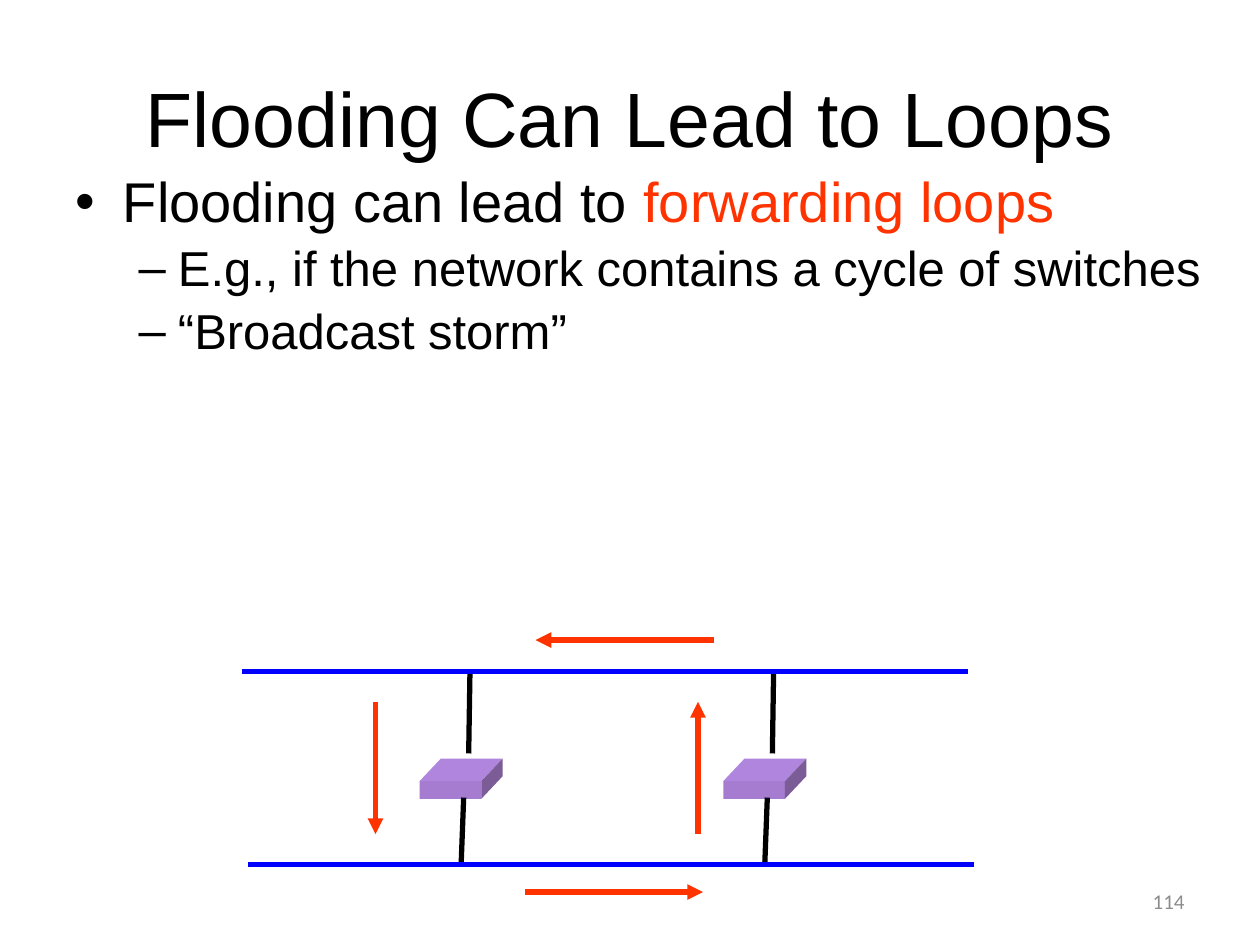
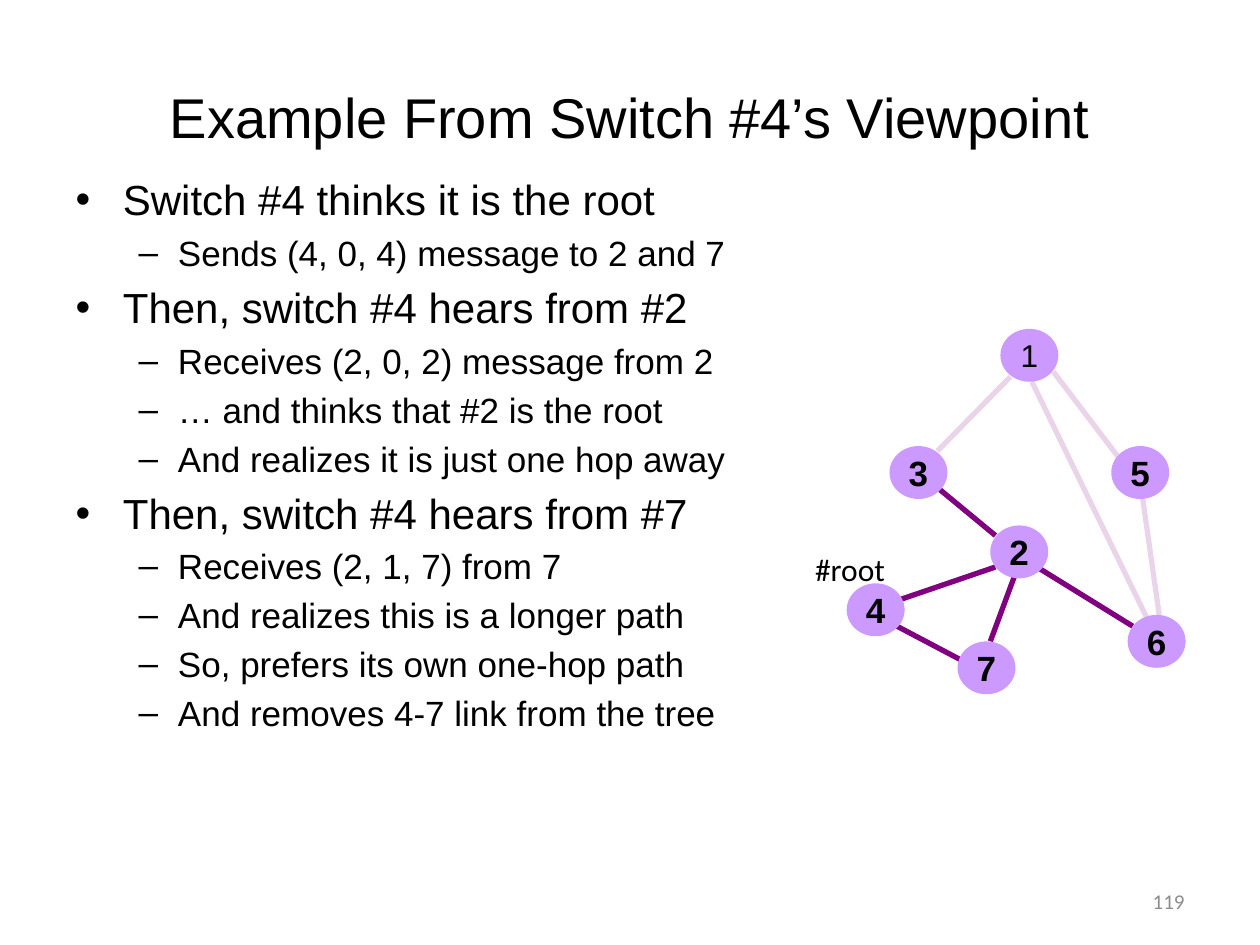
import lxml.etree
import pptx
import pptx.dml.color
import pptx.enum.shapes
import pptx.enum.text
import pptx.oxml.ns
import pptx.util

PX = 9144
BLACK = pptx.dml.color.RGBColor(0x00, 0x00, 0x00)
GREY = pptx.dml.color.RGBColor(0x8C, 0x8C, 0x8C)
RED = pptx.dml.color.RGBColor(0xFF, 0x33, 0x00)
BLUE = pptx.dml.color.RGBColor(0x00, 0x00, 0xFF)
PURPLE = pptx.dml.color.RGBColor(0x80, 0x00, 0x80)
LILAC = pptx.dml.color.RGBColor(0xCC, 0x99, 0xFF)
FRONT = pptx.dml.color.RGBColor(0xA6, 0x7C, 0xD0)
TOP = pptx.dml.color.RGBColor(0xAF, 0x85, 0xDE)
SIDE = pptx.dml.color.RGBColor(0x7C, 0x5C, 0x96)
MSO_SHAPE = pptx.enum.shapes.MSO_SHAPE
PP_ALIGN = pptx.enum.text.PP_ALIGN
MSO_ANCHOR = pptx.enum.text.MSO_ANCHOR
qn = pptx.oxml.ns.qn


def add_slide(title, title_size, body_size, line_spacing, sizes, items, number):
    s = prs.slides.add_slide(prs.slide_layouts[1])
    sp = s.shapes.title
    sp.left, sp.top, sp.width, sp.height = 50 * PX, 30 * PX, 900 * PX, 125 * PX
    sp.text_frame.text = title
    sp.text_frame.vertical_anchor = MSO_ANCHOR.MIDDLE
    r = sp.text_frame.paragraphs[0].runs[0]
    r.font.size, r.font.name = pptx.util.Pt(title_size), "Arial"
    r.font.color.rgb = BLACK

    sp = s.placeholders[1]
    sp.left, sp.top = 50 * PX, 133 * PX
    sp.width, sp.height = body_size[0] * PX, body_size[1] * PX
    tf = sp.text_frame
    tf.auto_size = pptx.enum.text.MSO_AUTO_SIZE.NONE
    for i, (level, text, accent) in enumerate(items):
        p = tf.add_paragraph() if i else tf.paragraphs[0]
        p.level = level
        p.line_spacing = line_spacing
        if i == 0:
            p.space_before = pptx.util.Pt(0)
        for part, color in ((text, BLACK), (accent, RED)):
            if part:
                r = p.add_run()
                r.text = part
                r.font.size, r.font.name = pptx.util.Pt(sizes[level]), "Arial"
                r.font.color.rgb = color

    sp = s.shapes.add_textbox(717 * PX, 695 * PX, 233 * PX, 40 * PX)
    tf = sp.text_frame
    tf.word_wrap = True
    tf.text = number
    tf.vertical_anchor = MSO_ANCHOR.MIDDLE
    p = tf.paragraphs[0]
    p.alignment = PP_ALIGN.RIGHT
    r = p.runs[0]
    r.font.size, r.font.name = pptx.util.Pt(12), "Calibri"
    r.font.color.rgb = GREY
    return s


def add_line(s, x1, y1, x2, y2, color, arrow=False, alpha=None):
    c = s.shapes.add_connector(pptx.enum.shapes.MSO_CONNECTOR.STRAIGHT,
                               x1 * PX, y1 * PX, x2 * PX, y2 * PX)
    c.line.width = pptx.util.Pt(3)
    c.line.color.rgb = color
    ln = c.line._get_or_add_ln()
    if arrow:
        lxml.etree.SubElement(ln, qn("a:tailEnd"), type="triangle")
    if alpha:
        rgb = ln.find(".//" + qn("a:srgbClr"))
        lxml.etree.SubElement(rgb, qn("a:alpha"), val=str(alpha * 1000))
    lxml.etree.SubElement(c._element.spPr, qn("a:effectLst"))


prs = pptx.Presentation()
prs.slide_width, prs.slide_height = 1000 * PX, 750 * PX

s = add_slide("Flooding Can Lead to Loops", 44, (925, 358), 0.9, (32, 28), [
    (0, "Flooding can lead to ", "forwarding loops"),
    (1, "E.g., if the network contains a cycle of switches", ""),
    (1, "“Broadcast storm”", ""),
], "114")

for x in (333, 574):
    sp = s.shapes.add_shape(MSO_SHAPE.RECTANGLE, x * PX, 620 * PX, 49 * PX, 14 * PX)
    faces = [(sp, FRONT)]
    for color, points in (
        (TOP, [(x, 620), (x + 17, 602), (x + 66, 602), (x + 49, 620)]),
        (SIDE, [(x + 49, 620), (x + 66, 602), (x + 66, 616), (x + 49, 634)]),
    ):
        fb = s.shapes.build_freeform(*points[0], scale=PX)
        fb.add_line_segments(points[1:])
        faces.append((fb.convert_to_shape(), color))
    for sp, color in faces:
        sp.shadow.inherit = False
        sp.fill.solid()
        sp.fill.fore_color.rgb = color
        sp.line.fill.background()
    add_line(s, x + 40, 533, x + 39, 598, BLACK)
    add_line(s, x + 35, 633, x + 33, 686, BLACK)

for x, y in ((192, 533), (197, 686)):
    add_line(s, x, y, x + 576, y, BLUE)

for ends in ((298, 557, 298, 662), (554, 662, 554, 557),
             (417, 708, 558, 708), (567, 508, 425, 508)):
    add_line(s, *ends, RED, arrow=True)

s = add_slide("Example From Switch #4’s Viewpoint", 32, (610, 600), 1.0, (24, 20), [
    (0, "Switch #4 thinks it is the root", ""),
    (1, "Sends (4, 0, 4) message to 2 and 7", ""),
    (0, "Then, switch #4 hears from #2", ""),
    (1, "Receives (2, 0, 2) message from 2", ""),
    (1, "… and thinks that #2 is the root", ""),
    (1, "And realizes it is just one hop away", ""),
    (0, "Then, switch #4 hears from #7", ""),
    (1, "Receives (2, 1, 7) from 7", ""),
    (1, "And realizes this is a longer path", ""),
    (1, "So, prefers its own one-hop path", ""),
    (1, "And removes 4-7 link from the tree", ""),
], "119")

unknown_links = [(802, 299, 744, 358), (836, 295, 890, 366),
                 (907, 396, 920, 488), (819, 303, 911, 492)]
known_links = [(744, 387, 790, 425), (823, 450, 899, 497), (714, 476, 790, 450),
               (786, 509, 806, 455), (765, 525, 710, 496)]
for ends in unknown_links + known_links:
    add_line(s, *ends, PURPLE, alpha=17)
for ends in known_links:
    add_line(s, *ends, PURPLE)

switches = {"1": (794, 261), "2": (786, 417), "3": (706, 354), "4": (672, 463),
            "5": (882, 354), "6": (895, 488), "7": (760, 509)}
for name, (x, y) in switches.items():
    sp = s.shapes.add_shape(MSO_SHAPE.OVAL, x * PX, y * PX, 46 * PX, 42 * PX)
    sp.shadow.inherit = False
    sp.fill.solid()
    sp.fill.fore_color.rgb = LILAC
    sp.line.fill.background()
    tf = sp.text_frame
    tf.margin_left = tf.margin_right = tf.margin_top = tf.margin_bottom = 0
    tf.word_wrap = False
    tf.vertical_anchor = MSO_ANCHOR.MIDDLE
    tf.text = name
    p = tf.paragraphs[0]
    p.alignment = PP_ALIGN.CENTER
    r = p.runs[0]
    r.font.size = pptx.util.Pt(18 if name == "1" else 20)
    r.font.bold = name != "1"
    r.font.name = "Arial"
    r.font.color.rgb = BLACK

sp = s.shapes.add_textbox(637 * PX, 432 * PX, 81 * PX, 40 * PX)
tf = sp.text_frame
tf.word_wrap = True
tf.text = "#root"
r = tf.paragraphs[0].runs[0]
r.font.size, r.font.name = pptx.util.Pt(18), "Calibri"
r.font.color.rgb = BLACK

prs.save("out.pptx")
